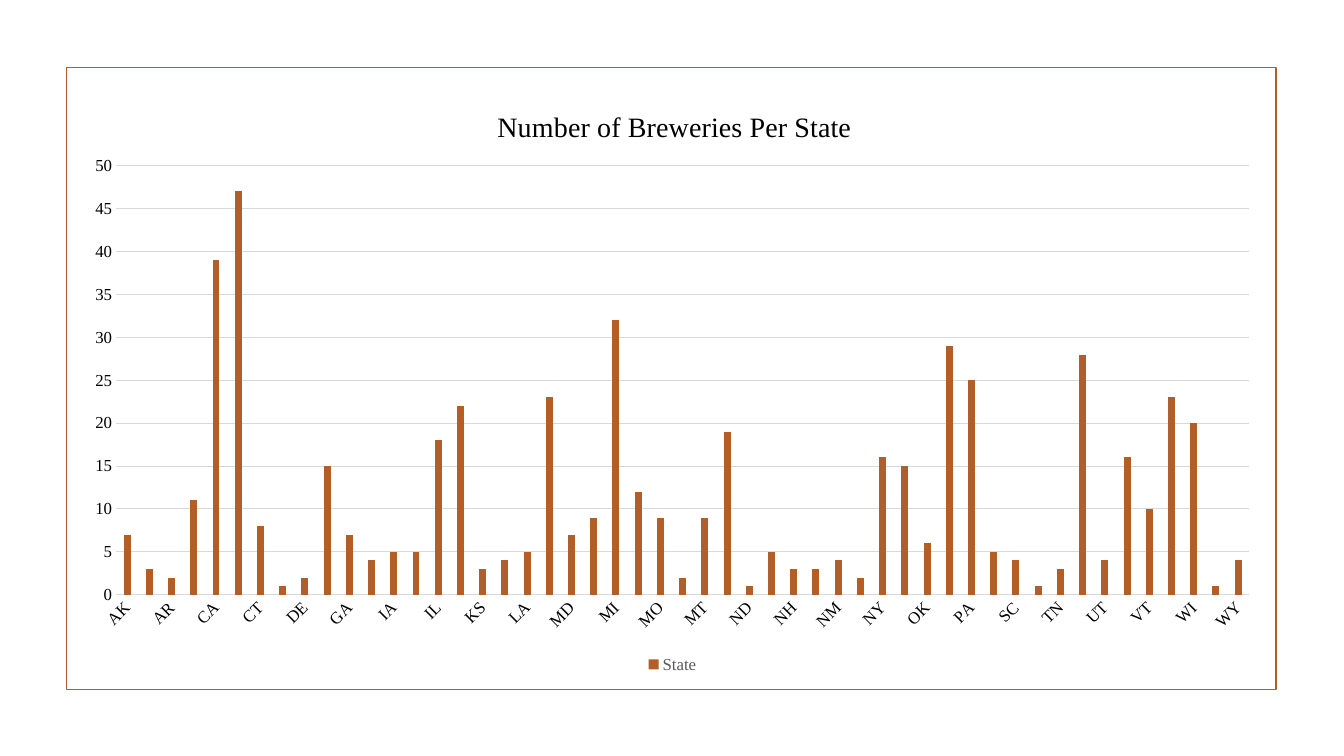
"""Build a framed column chart of brewery counts per state."""
from dataclasses import dataclass

from lxml import etree
from pptx import Presentation
from pptx.chart.data import CategoryChartData
from pptx.dml.color import RGBColor
from pptx.enum.chart import XL_CHART_TYPE, XL_LEGEND_POSITION, XL_TICK_MARK
from pptx.enum.shapes import MSO_SHAPE
from pptx.oxml.ns import qn
from pptx.util import Inches, Pt

TITLE = "Number of Breweries Per State"
SERIES_NAME = "State"
BREWERIES = {
    "AK": 7, "AL": 3, "AR": 2, "AZ": 11, "CA": 39, "CO": 47, "CT": 8, "DC": 1, "DE": 2,
    "FL": 15, "GA": 7, "HI": 4, "IA": 5, "ID": 5, "IL": 18, "IN": 22, "KS": 3, "KY": 4,
    "LA": 5, "MA": 23, "MD": 7, "ME": 9, "MI": 32, "MN": 12, "MO": 9, "MS": 2, "MT": 9,
    "NC": 19, "ND": 1, "NE": 5, "NH": 3, "NJ": 3, "NM": 4, "NV": 2, "NY": 16, "OH": 15,
    "OK": 6, "OR": 29, "PA": 25, "RI": 5, "SC": 4, "SD": 1, "TN": 3, "TX": 28, "UT": 4,
    "VA": 16, "VT": 10, "WA": 23, "WI": 20, "WV": 1, "WY": 4,
}

SLIDE_SIZE = (13.33, 7.5)
FRAME_BOX = (0.66, 0.67, 12, 6.17)
CHART_BOX = (0.71, 0.79, 11.92, 5.93)
TITLE_SPOT = {"x": 0.35, "y": 0.04}
PLOT_SPOT = {"x": 0.037, "y": 0.144, "w": 0.943, "h": 0.718}

BLANK_LAYOUT = 6
COLUMNS = XL_CHART_TYPE.COLUMN_CLUSTERED
LEGEND_BOTTOM = XL_LEGEND_POSITION.BOTTOM
NO_TICK = XL_TICK_MARK.NONE
RECTANGLE = MSO_SHAPE.RECTANGLE


@dataclass(frozen=True)
class Theme:
    """Hold the colours and type sizes of the slide."""
    font: str = "Times New Roman"
    accent: str = "B15E28"
    text: str = "000000"
    muted: str = "595959"
    grid: str = "D9D9D9"
    title_size: int = 20
    label_size: int = 12
    frame_width: float = 1.25
    grid_width: float = 0.75


THEME = Theme()


def format_font(font, size=THEME.label_size, color=THEME.text):
    """Apply typeface, size and colour to a font."""
    font.name = THEME.font
    font.size = Pt(size)
    font.bold = False
    font.color.rgb = RGBColor.from_string(color)


def write_title(chart, text, size, color):
    """Write the chart title in the given format."""
    frame = chart.chart_title.text_frame
    frame.text = text
    format_font(frame.paragraphs[0].runs[0].font, size=size, color=color)
    chart.chart_title.include_in_layout = False


def format_line(line, color, width):
    """Apply colour and width to a line."""
    line.color.rgb = RGBColor.from_string(color)
    line.width = Pt(width)


def place(element, position, spot, inner=False):
    """Give a chart part a manual layout in fractions of the chart."""
    for old in element.findall(qn("c:layout")):
        element.remove(old)
    layout = etree.Element(qn("c:layout"))
    manual = etree.SubElement(layout, qn("c:manualLayout"))
    if inner:
        etree.SubElement(manual, qn("c:layoutTarget"), val="inner")
    for key in "xy":
        etree.SubElement(manual, qn(f"c:{key}Mode"), val="edge")
    for key, value in spot.items():
        etree.SubElement(manual, qn(f"c:{key}"), val=str(value))
    element.insert(position, layout)


def add_frame(slide):
    """Add the outlined border around the chart."""
    frame = slide.shapes.add_shape(RECTANGLE, *map(Inches, FRAME_BOX))
    frame.shadow.inherit = False
    frame.fill.background()
    format_line(frame.line, THEME.accent, THEME.frame_width)


def format_axes(chart):
    """Format both axes and the gridlines."""
    states, counts = chart.category_axis, chart.value_axis
    for axis in (states, counts):
        axis.major_tick_mark = axis.minor_tick_mark = NO_TICK
        format_font(axis.tick_labels.font)
    format_line(states.format.line, THEME.grid, THEME.grid_width)
    states._element.find(qn("c:txPr")).find(qn("a:bodyPr")).set("rot", "-2700000")
    skip = etree.Element(qn("c:tickLblSkip"), val="2")
    states._element.find(qn("c:noMultiLvlLbl")).addprevious(skip)
    counts.minimum_scale, counts.maximum_scale, counts.major_unit = 0, 50, 5
    counts.format.line.fill.background()
    format_line(counts.major_gridlines.format.line, THEME.grid, THEME.grid_width)


def add_brewery_chart(slide):
    """Add the column chart with its title and legend."""
    data = CategoryChartData()
    data.categories = list(BREWERIES)
    data.add_series(SERIES_NAME, list(BREWERIES.values()))
    chart = slide.shapes.add_chart(COLUMNS, *map(Inches, CHART_BOX), data).chart
    format_font(chart.font, size=10)
    write_title(chart, TITLE, size=THEME.title_size, color=THEME.text)
    place(chart.chart_title._element, 1, TITLE_SPOT)
    place(chart._chartSpace.chart.plotArea, 0, PLOT_SPOT, inner=True)
    format_axes(chart)
    plot = chart.plots[0]
    plot.gap_width, plot.overlap, plot.vary_by_categories = 219, -27, False
    fill = plot.series[0].format.fill
    fill.solid()
    fill.fore_color.rgb = RGBColor.from_string(THEME.accent)
    chart.has_legend = True
    chart.legend.position = LEGEND_BOTTOM
    chart.legend.include_in_layout = False
    format_font(chart.legend.font, color=THEME.muted)


def main():
    """Create and save the presentation."""
    presentation = Presentation()
    presentation.slide_width, presentation.slide_height = map(Inches, SLIDE_SIZE)
    slide = presentation.slides.add_slide(presentation.slide_layouts[BLANK_LAYOUT])
    add_frame(slide)
    add_brewery_chart(slide)
    presentation.save("out.pptx")


if __name__ == "__main__":
    main()
